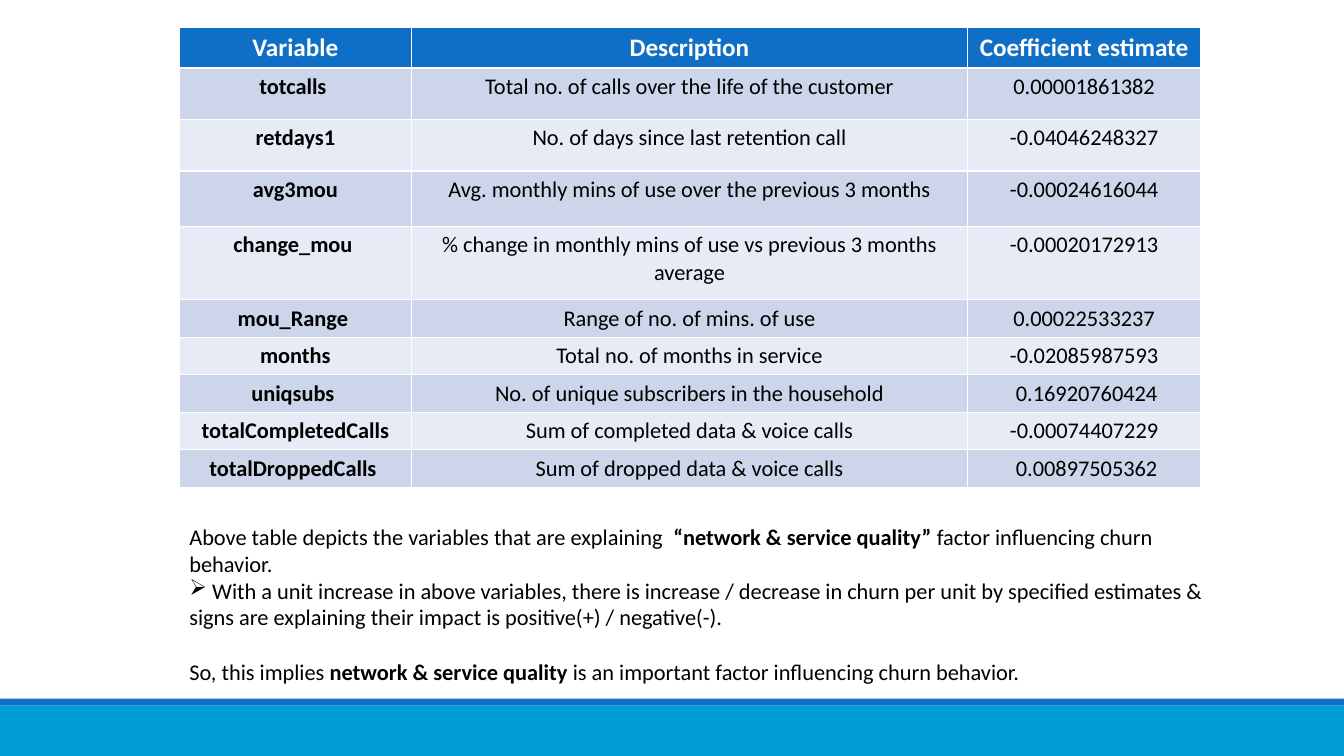
from lxml import etree
from pptx import Presentation
from pptx.dml.color import RGBColor
from pptx.enum.shapes import MSO_SHAPE
from pptx.enum.text import MSO_AUTO_SIZE, PP_ALIGN
from pptx.oxml.ns import qn
from pptx.util import Pt

RECT = MSO_SHAPE.RECTANGLE
CENTER = PP_ALIGN.CENTER
GROW = MSO_AUTO_SIZE.SHAPE_TO_FIT_TEXT

BLUE = RGBColor(0x0F, 0x6F, 0xC6)
CYAN = RGBColor(0x00, 0x9D, 0xD9)
DARK = RGBColor(0xCC, 0xD5, 0xEA)
LIGHT = RGBColor(0xE7, 0xEB, 0xF5)
WHITE = RGBColor(0xFF, 0xFF, 0xFF)
BLACK = RGBColor(0x00, 0x00, 0x00)

HEAD = {"name": "Calibri", "size": Pt(18), "bold": True}
BODY = {"name": "Calibri", "size": Pt(16), "bold": False}
STRONG = {**BODY, "bold": True}

COLS = [165.6, 397.4, 166.4]
ROWS = [28, 36.8, 36.8, 39.5, 52.4] + [26.5] * 5
CELLS = [
    ("Variable", "Description", "Coefficient estimate"),
    ("totcalls ", "Total no. of calls over the life of the customer", "0.00001861382"),
    ("retdays1", "No. of days since last retention call", "-0.04046248327"),
    ("avg3mou", "Avg. monthly mins of use over the previous 3 months", "-0.00024616044"),
    ("change_mou ", "% change in monthly mins of use vs previous 3 months average",
     "-0.00020172913"),
    ("mou_Range ", "Range of no. of mins. of use", "0.00022533237"),
    ("months", "Total no. of months in service", "-0.02085987593"),
    ("uniqsubs ", "No. of unique subscribers in the household", " 0.16920760424"),
    ("totalCompletedCalls", "Sum of completed data & voice calls", "-0.00074407229"),
    ("totalDroppedCalls ", "Sum of dropped data & voice calls", " 0.00897505362"),
]
NOTES = [
    [("Above table depicts the variables that are explaining ", BODY),
     (" “network & service quality” ", STRONG),
     ("factor influencing churn behavior.", BODY)],
    [(" With a unit increase in above variables, there is increase / decrease in churn "
      "per unit by specified estimates & signs are explaining their impact is "
      "positive(+) / negative(-). ", BODY)],
    [("So, this implies ", BODY),
     ("network & service quality ", STRONG),
     ("is an important factor influencing churn behavior.", BODY)],
]


def add_run(para, text, style, color=BLACK):
    """Append a formatted run to a paragraph."""
    run = para.add_run()
    run.text = text
    for key, value in style.items():
        setattr(run.font, key, value)
    run.font.color.rgb = color


def add_band(slide, top, height, color):
    """Draw a full-width footer band."""
    band = slide.shapes.add_shape(RECT, 0, Pt(top), Pt(960), Pt(height))
    band.shadow.inherit = False
    band.fill.solid()
    band.fill.fore_color.rgb = color
    band.line.fill.background()


def add_grid(slide):
    """Add the table of variables and estimates."""
    frame = slide.shapes.add_table(len(ROWS), len(COLS), Pt(128.2), Pt(19.4),
                                   Pt(sum(COLS)), Pt(sum(ROWS)))
    table = frame.table
    for col, width in zip(table.columns, COLS):
        col.width = Pt(width)
    for r, (row, height) in enumerate(zip(table.rows, ROWS)):
        row.height = Pt(height)
        fill = BLUE if r == 0 else DARK if r % 2 else LIGHT
        for c, cell in enumerate(row.cells):
            cell.fill.solid()
            cell.fill.fore_color.rgb = fill
            style = HEAD if r == 0 else STRONG if c == 0 else BODY
            para = cell.text_frame.paragraphs[0]
            para.alignment = CENTER
            add_run(para, CELLS[r][c], style, BLACK if r else WHITE)


def add_notes(slide):
    """Add the commentary below the table."""
    box = slide.shapes.add_textbox(Pt(128.2), Pt(370), Pt(760.3), Pt(124))
    frame = box.text_frame
    frame.word_wrap = True
    frame.auto_size = GROW
    for i, runs in enumerate(NOTES):
        para = frame.add_paragraph() if i else frame.paragraphs[0]
        for text, style in runs:
            add_run(para, text, style)
    props = frame.paragraphs[1]._p.get_or_add_pPr()
    etree.SubElement(props, qn("a:buChar")).set("char", "➢")
    frame.paragraphs[2].space_before = Pt(19.5)


def main():
    """Build the slide and save it."""
    deck = Presentation()
    deck.slide_width, deck.slide_height = Pt(960), Pt(540)
    slide = deck.slides.add_slide(deck.slide_layouts[6])
    add_band(slide, 504, 36, CYAN)
    add_band(slide, 499, 5, BLUE)
    add_grid(slide)
    add_notes(slide)
    deck.save("out.pptx")


main()
